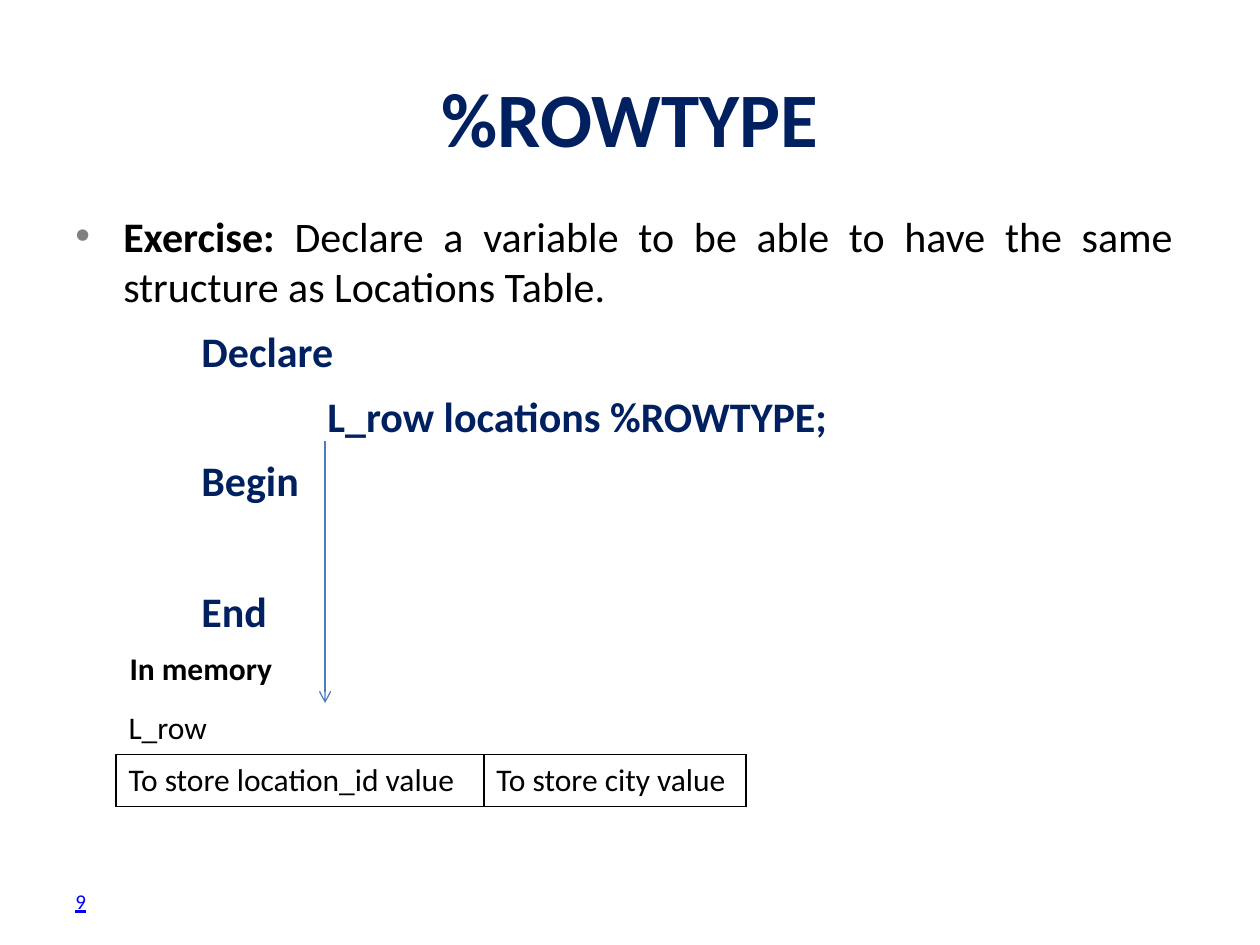
"""Builds the %ROWTYPE exercise slide."""
from lxml import etree
from pptx import Presentation, util as u
from pptx.dml.color import RGBColor
from pptx.enum import shapes, text
from pptx.oxml.ns import qn

NAVY, BLACK, BLUE = "002060", "000000", "0000FF"


def rgb(value):
    return RGBColor.from_string(value)


def add(parent, tag, **attrs):
    return etree.SubElement(parent, qn(tag), {k: str(v) for k, v in attrs.items()})


class Deck:
    font = "Calibri"

    def __init__(self, width, height):
        self.prs = Presentation()
        self.prs.slide_width, self.prs.slide_height = u.Inches(width), u.Inches(height)
        self.s = self.prs.slides.add_slide(self.prs.slide_layouts[6])

    def style(self, p, size, color=BLACK, bold=False, underline=None):
        f = p.font
        f.name, f.size, f.bold, f.underline = self.font, u.Pt(size), bold, underline
        f.color.rgb = rgb(color)

    def box(self, x, y, w, h, anchor=text.MSO_ANCHOR.TOP, wrap=True):
        tf = self.s.shapes.add_textbox(*map(u.Inches, (x, y, w, h))).text_frame
        tf.word_wrap, tf.vertical_anchor = wrap, anchor
        return tf

    def label(self, words, place, size, align=text.PP_ALIGN.LEFT, wrap=True, **look):
        p = self.box(*place, anchor=text.MSO_ANCHOR.MIDDLE, wrap=wrap).paragraphs[0]
        p.text, p.alignment = words, align
        self.style(p, size, **look)

    def body(self, place, lead, task, code, size=24):
        tf = self.box(*place)
        p = tf.paragraphs[0]
        p.alignment = text.PP_ALIGN.JUSTIFY
        pPr = p._p.get_or_add_pPr()
        pPr.set("marL", str(u.Inches(0.38)))
        pPr.set("indent", str(u.Inches(-0.38)))
        add(add(pPr, "a:buClr"), "a:srgbClr", val="808080")
        add(pPr, "a:buFont", typeface="Arial")
        add(pPr, "a:buChar", char="•")
        self.style(p, size)
        r = p.add_run()
        r.text, r.font.bold = lead, True
        p.add_run().text = task
        for words, indent, before in code:
            p = tf.add_paragraph()
            p.text, p.space_before = words, u.Pt(before)
            p._p.get_or_add_pPr().set("marL", str(u.Inches(indent)))
            self.style(p, size, NAVY, bold=True)

    def border(self, cell, sides):
        tcPr = cell._tc.get_or_add_tcPr()
        for side in sides:
            ln = add(tcPr, f"a:ln{side}", w=u.Pt(1))
            add(add(ln, "a:solidFill"), "a:srgbClr", val=BLACK)

    def table(self, x, y, widths, row_height, rows):
        shape = self.s.shapes.add_table(
            len(rows), len(widths), u.Inches(x), u.Inches(y),
            u.Inches(sum(widths)), u.Inches(row_height * len(rows)))
        t = shape.table
        t.first_row = t.horz_banding = False
        for col, width in zip(t.columns, widths):
            col.width = u.Inches(width)
        for i, row in enumerate(rows):
            t.rows[i].height = u.Inches(row_height)
            for j, words in enumerate(row):
                cell = t.cell(i, j)
                self.border(cell, "LRTB" if i else "B")
                cell.fill.background()
                p = cell.text_frame.paragraphs[0]
                p.text = words
                self.style(p, 18)

    def arrow(self, x1, y1, x2, y2, color):
        c = self.s.shapes.add_connector(
            shapes.MSO_CONNECTOR.STRAIGHT, *map(u.Inches, (x1, y1, x2, y2)))
        c.line.color.rgb, c.line.width = rgb(color), u.Pt(0.75)
        add(c.line._get_or_add_ln(), "a:tailEnd", type="arrow")
        add(c._element.spPr, "a:effectLst")


def main():
    d = Deck(10, 7.5)
    d.body((0.5, 1.62, 8.91, 5.13), "Exercise: ",
           "Declare a variable to be able to have the same structure as Locations Table.",
           [("Declare", 1, 8.2), ("L_row locations %ROWTYPE;", 2, 8.2),
            ("Begin", 1, 8.2), ("End", 1, 45.7)])
    d.label("%ROWTYPE", (0.5, 0.3, 9, 1.25), 44, text.PP_ALIGN.CENTER,
            color=NAVY, bold=True)
    d.label("9", (0.5, 6.95, 2.33, 0.4), 12, color=BLUE, underline=True)
    d.table(0.92, 5.58, (2.92, 2.08), 0.41,
            [("L_row", ""), ("To store location_id value", "To store city value")])
    d.arrow(2.58, 3.5, 2.58, 5.58, "4B7EBC")
    d.label("In memory", (0.93, 5.1, 1.34, 0.4), 18, wrap=False, bold=True)
    d.prs.save("out.pptx")


if __name__ == "__main__":
    main()
